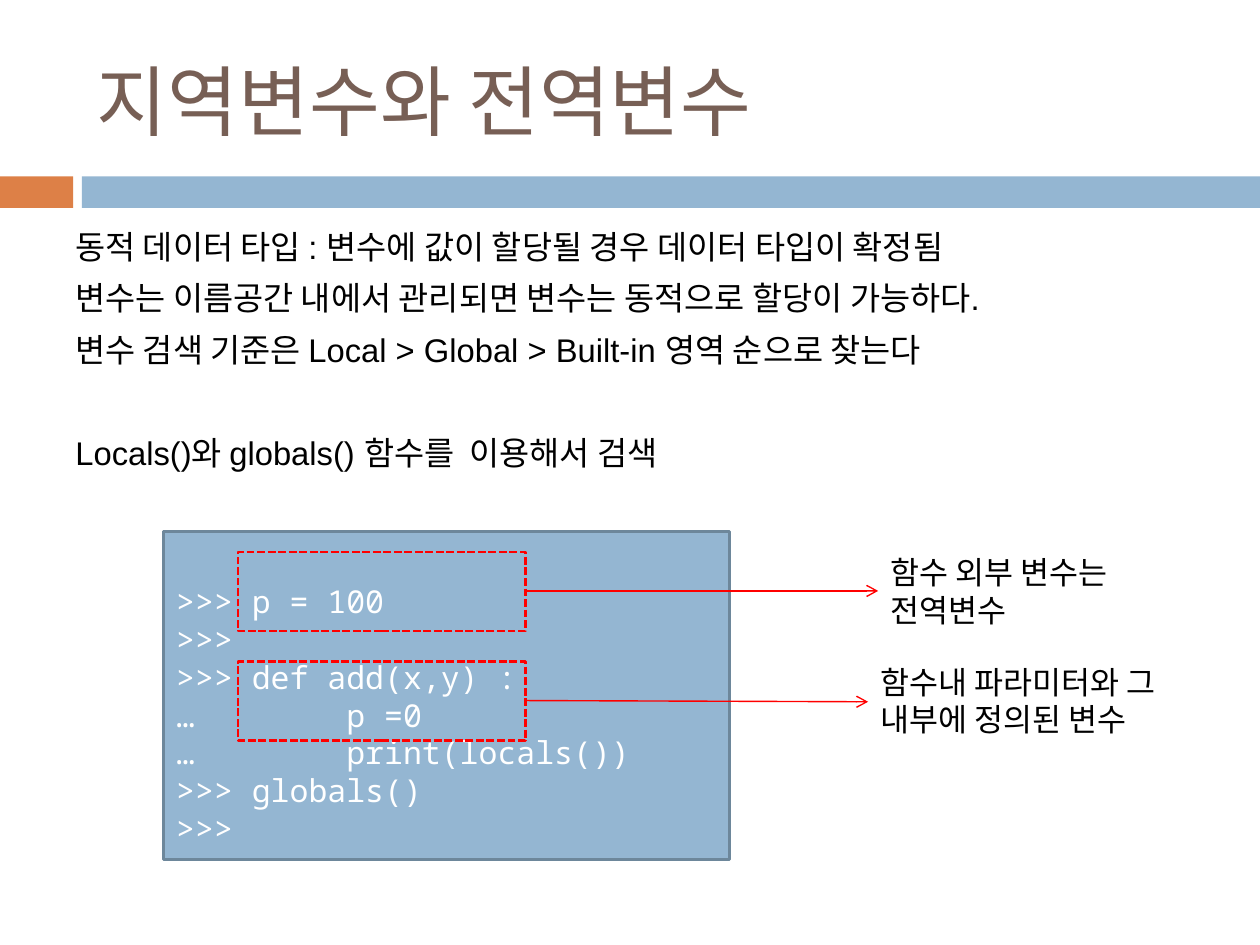
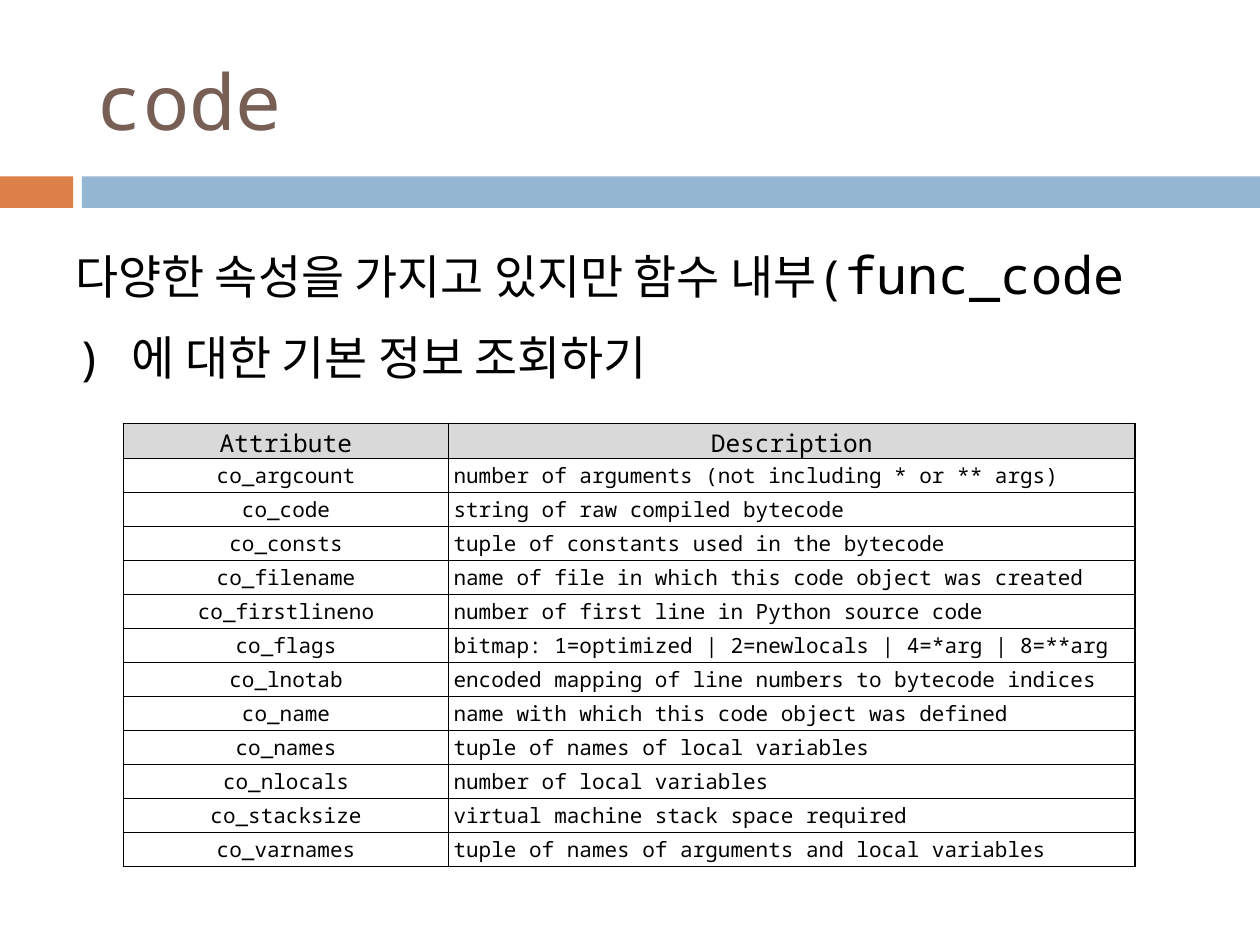
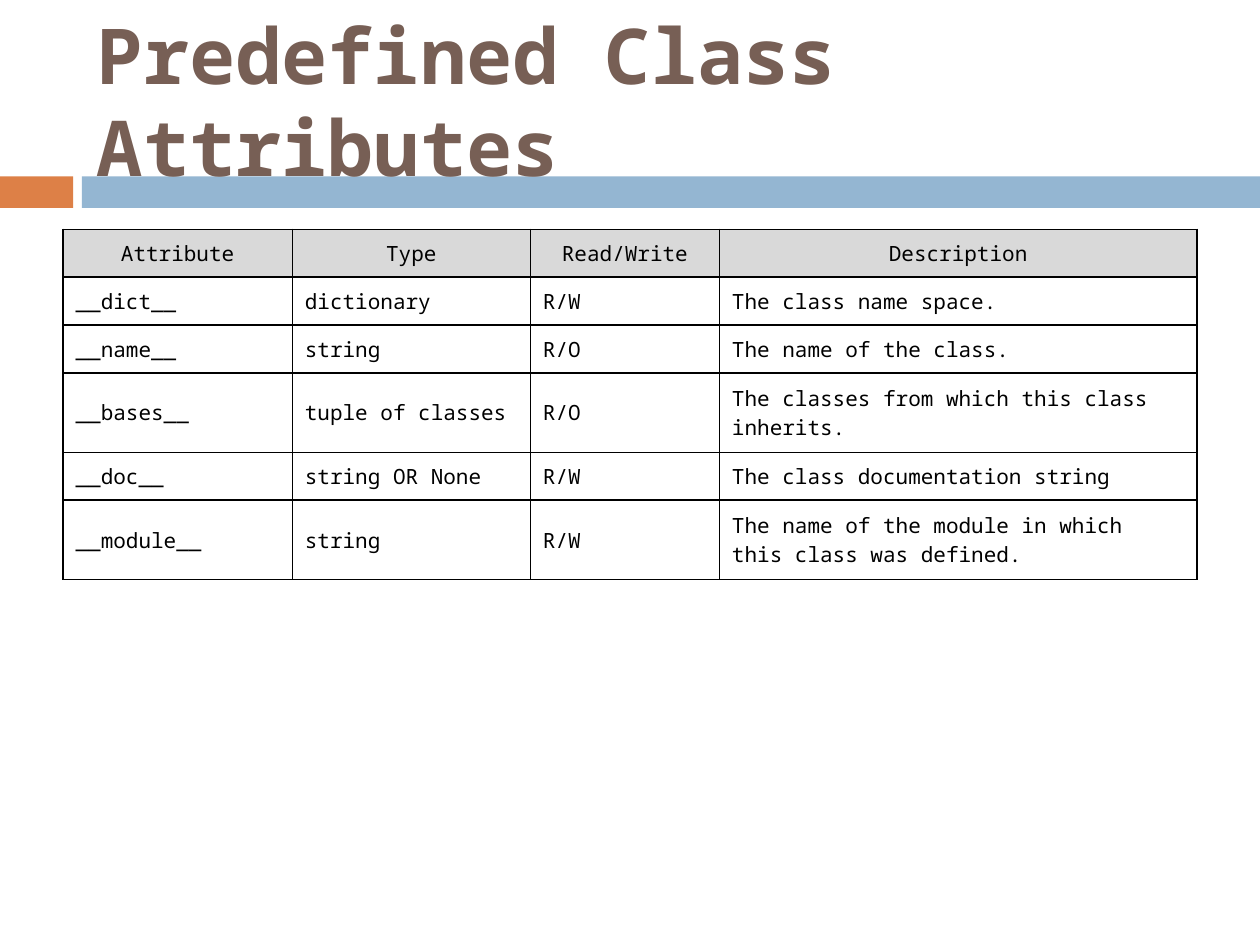
from dataclasses import dataclass
from lxml.etree import SubElement
from pptx import Presentation
from pptx.dml.color import RGBColor
from pptx.enum.dml import MSO_LINE
from pptx.enum.shapes import MSO_CONNECTOR, MSO_SHAPE
from pptx.enum.text import MSO_ANCHOR, PP_ALIGN
from pptx.oxml.ns import qn
from pptx.util import Inches, Pt


@dataclass(frozen=True)
class Theme:
    mono: str = "Noto Sans Mono"
    sans: str = "Arial"
    black: str = "000000"
    white: str = "FFFFFF"
    brown: str = "775F55"
    orange: str = "DD8047"
    blue: str = "94B6D2"
    edge: str = "6D879B"
    red: str = "FF0000"
    gray: str = "D9D9D9"
    title: float = 44
    lead: float = 26.8
    term: float = 29.6
    body: float = 18.7
    code: float = 18
    head: float = 14
    cell: float = 12


def color(code):
    return RGBColor.from_string(code)


def write(frame, text, font, size, ink, bold=False, align=PP_ALIGN.LEFT,
          anchor=MSO_ANCHOR.TOP, before=0, gaps=None, lines=None, tab=None):
    frame.word_wrap = True
    frame.vertical_anchor = anchor
    items = [text] if isinstance(text, str) else text
    for index, item in enumerate(items):
        para = frame.paragraphs[0] if index == 0 else frame.add_paragraph()
        para.alignment = align
        para.space_before = Pt((gaps or {}).get(index, before))
        if lines:
            para.line_spacing = lines
        if tab:
            stops = SubElement(para._p.get_or_add_pPr(), qn("a:tabLst"))
            SubElement(stops, qn("a:tab"), pos=str(Inches(tab)), algn="l")
        parts = [(item, size)] if isinstance(item, str) else item
        for words, points in parts:
            run = para.add_run()
            run.text = words
            run.font.name = font
            run.font.size = Pt(points)
            run.font.bold = bold
            run.font.color.rgb = color(ink)


class Deck:
    def __init__(self, theme):
        self.theme = theme
        self.file = Presentation()
        self.file.slide_width = Inches(10)
        self.file.slide_height = Inches(7.5)
        self.slide = None

    def page(self, title, bold=False):
        look = self.theme
        self.slide = self.file.slides.add_slide(self.file.slide_layouts[6])
        self.rect(0, 1.4, 0.58, 0.25, fill=look.orange)
        self.rect(0.65, 1.4, 9.35, 0.25, fill=look.blue)
        self.text(0.67, 0.25, 8.92, 1.08, title, font=look.mono,
                  size=look.title, ink=look.brown, bold=bold,
                  anchor=MSO_ANCHOR.MIDDLE)

    def rect(self, left, top, width, height, fill=None, line=None, dash=None):
        box = self.slide.shapes.add_shape(
            MSO_SHAPE.RECTANGLE, Inches(left), Inches(top),
            Inches(width), Inches(height))
        box.shadow.inherit = False
        if fill:
            box.fill.solid()
            box.fill.fore_color.rgb = color(fill)
        else:
            box.fill.background()
        if line:
            box.line.color.rgb = color(line)
            box.line.width = Pt(1.5)
            box.line.dash_style = dash
        else:
            box.line.fill.background()
        return box

    def text(self, left, top, width, height, words, **form):
        box = self.slide.shapes.add_textbox(
            Inches(left), Inches(top), Inches(width), Inches(height))
        write(box.text_frame, words, **form)

    def code(self, left, top, width, height, words):
        look = self.theme
        box = self.rect(left, top, width, height, look.blue, look.edge)
        box.text_frame.margin_top = Inches(0.35)
        write(box.text_frame, words, font=look.mono, size=look.code,
              ink=look.white, anchor=MSO_ANCHOR.MIDDLE, tab=1.35)

    def arrow(self, left, top, right, end):
        line = self.slide.shapes.add_connector(
            MSO_CONNECTOR.STRAIGHT, Inches(left), Inches(top),
            Inches(right), Inches(end))
        line.line.color.rgb = color(self.theme.red)
        line.line.width = Pt(0.79)
        SubElement(line.line._get_or_add_ln(), qn("a:tailEnd"), type="arrow")
        SubElement(line._element.spPr, qn("a:effectLst"))

    def note(self, top, left, words, end):
        look = self.theme
        self.rect(1.89, top, 2.28, 0.63, line=look.red,
                  dash=MSO_LINE.SQUARE_DOT)
        self.text(left, top - 0.04, 2.68, 0.71, words, font=look.mono,
                  size=look.code, ink=look.black)
        self.arrow(4.17, top + 0.31, left, end)

    def border(self, cell):
        props = cell._tc.get_or_add_tcPr()
        for side in ("L", "R", "T", "B"):
            line = SubElement(props, qn("a:ln" + side), w=str(Pt(1)))
            fill = SubElement(line, qn("a:solidFill"))
            SubElement(fill, qn("a:srgbClr"), val=self.theme.black)

    def table(self, left, top, cols, rows, data, head, pad=None, center=()):
        look = self.theme
        grid = self.slide.shapes.add_table(
            len(rows), len(cols), Inches(left), Inches(top),
            Inches(sum(cols)), Inches(sum(rows))).table
        grid.first_row = False
        grid.horz_banding = False
        for col, width in zip(grid.columns, cols):
            col.width = Inches(width)
        for y, (high, record) in enumerate(zip(rows, data)):
            grid.rows[y].height = Inches(high)
            for x, words in enumerate(record):
                cell = grid.cell(y, x)
                self.border(cell)
                cell.fill.solid()
                cell.fill.fore_color.rgb = color(
                    look.white if y else look.gray)
                if pad:
                    cell.margin_left = cell.margin_right = Inches(pad)
                    cell.margin_top = cell.margin_bottom = Inches(pad / 2)
                mid = y == 0 or x in center
                write(cell.text_frame, words, font=look.mono,
                      size=look.cell if y else head, ink=look.black,
                      align=PP_ALIGN.CENTER if mid else PP_ALIGN.LEFT)
                cell.vertical_anchor = MSO_ANCHOR.MIDDLE


look = Theme()
deck = Deck(look)

deck.page("지역변수와 전역변수")
deck.text(0.5, 1.75, 9, 2.55, [
    "동적 데이터 타입 : 변수에 값이 할당될 경우 데이터 타입이 확정됨",
    "변수는 이름공간 내에서 관리되면 변수는 동적으로 할당이 가능하다.",
    "변수 검색 기준은 Local > Global > Built-in 영역 순으로 찾는다",
    "Locals()와 globals() 함수를  이용해서 검색",
], font=look.sans, size=look.body, ink=look.black, before=7, gaps={3: 36.4})
deck.code(1.3, 4.22, 4.49, 2.6, [
    ">>> p = 100",
    ">>> ",
    ">>> def add(x,y) :",
    "…\tp =0",
    "…\tprint(locals())",
    ">>> globals()",
    ">>>",
])
deck.note(5.25, 6.89, "함수내 파라미터와 그 내부에 정의된 변수", 5.57)
deck.note(4.38, 6.97, "함수 외부 변수는 전역변수", 4.69)

deck.page("code")
deck.text(0.5, 1.78, 9, 1.57, [
    [("다양한 속성을 가지고 있지만 함수 내부(", look.lead),
     ("func_code", look.term)],
    ") 에 대한 기본 정보 조회하기",
], font=look.mono, size=look.lead, ink=look.black, before=7, lines=1.2)
fields = [
    ("Attribute", "Description"),
    ("co_argcount", "number of arguments (not including * or ** args)"),
    ("co_code", "string of raw compiled bytecode"),
    ("co_consts", "tuple of constants used in the bytecode"),
    ("co_filename", "name of file in which this code object was created"),
    ("co_firstlineno", "number of first line in Python source code"),
    ("co_flags", "bitmap: 1=optimized\u00a0|\u00a02=newlocals\u00a0|"
                 "\u00a04=*arg\u00a0|\u00a08=**arg"),
    ("co_lnotab", "encoded mapping of line numbers to bytecode indices"),
    ("co_name", "name with which this code object was defined"),
    ("co_names", "tuple of names of local variables"),
    ("co_nlocals", "number of local variables"),
    ("co_stacksize", "virtual machine stack space required"),
    ("co_varnames", "tuple of names of arguments and local variables"),
]
deck.table(0.98, 3.36, [2.58, 5.45], [0.28] + [0.27] * 12, fields,
           head=look.head, pad=0.04, center=(0,))

deck.page("Predefined Class Attributes", bold=True)
traits = [
    ("Attribute", "Type", "Read/Write", "Description"),
    ("__dict__", "dictionary", "R/W", "The class name space."),
    ("__name__", "string", "R/O", "The name of the class."),
    ("__bases__", "tuple of classes", "R/O",
     "The classes from which this class inherits."),
    ("__doc__", "string OR None", "R/W",
     "The class\u00a0documentation string"),
    ("__module__", "string", "R/W",
     "The name of the module in which this class was defined."),
]
deck.table(0.5, 1.82, [1.82, 1.89, 1.5, 3.79],
           [0.38, 0.38, 0.38, 0.63, 0.38, 0.63], traits, head=look.cell)

deck.file.save("out.pptx")
